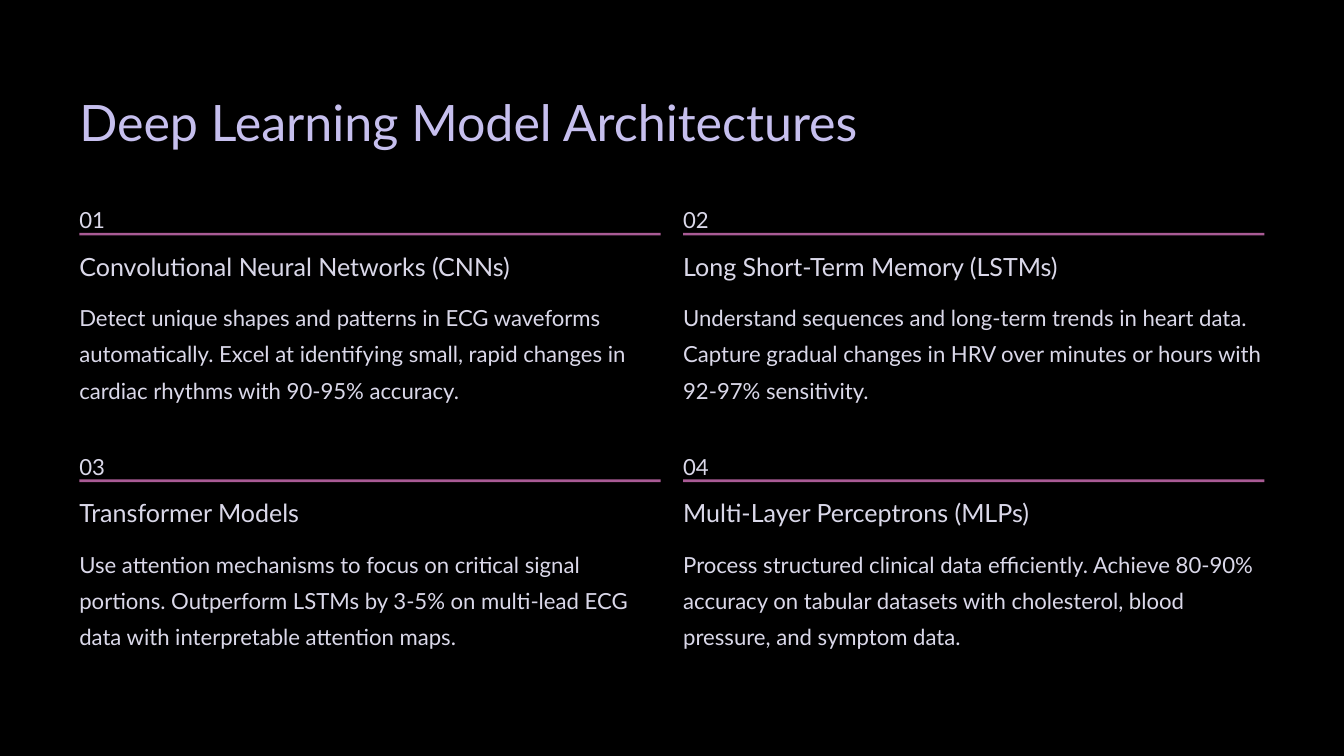
from dataclasses import dataclass

from pptx import Presentation
from pptx.dml.color import RGBColor
from pptx.enum.shapes import MSO_SHAPE
from pptx.enum.text import PP_ALIGN
from pptx.slide import Slide
from pptx.util import Pt


@dataclass(frozen=True)
class Theme:
    font: str = "Lato"
    background: str = "000000"
    title_color: str = "C6BFEE"
    text_color: str = "DAD8E9"
    rule_color: str = "A95B95"
    title_size: float = 43
    heading_size: float = 21.5
    body_size: float = 19


@dataclass(frozen=True)
class Architecture:
    name: str
    name_width: float
    description: str


THEME = Theme()
LEFT, TOP = 68, 168.8
COLUMN_STEP, ROW_STEP = 517.6, 211.4
COLUMN_WIDTH = 498.2
COLUMNS = 2

ARCHITECTURES = [
    Architecture(
        "Convolutional Neural Networks (CNNs)",
        401.8,
        "Detect unique shapes and patterns in ECG waveforms automatically. "
        "Excel at identifying small, rapid changes in cardiac rhythms with 90-95% accuracy.",
    ),
    Architecture(
        "Long Short-Term Memory (LSTMs)",
        355.7,
        "Understand sequences and long-term trends in heart data. "
        "Capture gradual changes in HRV over minutes or hours with 92-97% sensitivity.",
    ),
    Architecture(
        "Transformer Models",
        216,
        "Use attention mechanisms to focus on critical signal portions. "
        "Outperform LSTMs by 3-5% on multi-lead ECG data with interpretable attention maps.",
    ),
    Architecture(
        "Multi-Layer Perceptrons (MLPs)",
        326.9,
        "Process structured clinical data efficiently. "
        "Achieve 80-90% accuracy on tabular datasets with cholesterol, blood pressure, "
        "and symptom data.",
    ),
]


def add_text(
    slide: Slide,
    text: str,
    *,
    left: float,
    top: float,
    width: float,
    height: float,
    size: float = THEME.body_size,
    color: str = THEME.text_color,
    line_spacing: float = 31,
    wrap: bool = False,
) -> None:
    box = slide.shapes.add_textbox(Pt(left), Pt(top), Pt(width), Pt(height))
    frame = box.text_frame
    frame.word_wrap = wrap
    frame.margin_left = frame.margin_right = 0
    frame.margin_top = frame.margin_bottom = 0
    para = frame.paragraphs[0]
    para.alignment = PP_ALIGN.LEFT
    para.line_spacing = Pt(line_spacing)
    span = para.add_run()
    span.text = text
    span.font.name = THEME.font
    span.font.size = Pt(size)
    span.font.color.rgb = RGBColor.from_string(color)


def add_rule(slide: Slide, left: float, top: float) -> None:
    rule = slide.shapes.add_shape(
        MSO_SHAPE.RECTANGLE, Pt(left), Pt(top), Pt(COLUMN_WIDTH), Pt(2.3)
    )
    rule.shadow.inherit = False
    rule.fill.solid()
    rule.fill.fore_color.rgb = RGBColor.from_string(THEME.rule_color)
    rule.line.fill.background()


def add_architecture(slide: Slide, index: int, architecture: Architecture) -> None:
    row, column = divmod(index, COLUMNS)
    left = LEFT + column * COLUMN_STEP
    top = TOP + row * ROW_STEP
    add_text(slide, f"{index + 1:02}", left=left, top=top, width=24, height=24.5)
    add_rule(slide, left, top + 30.8)
    add_text(
        slide,
        architecture.name,
        left=left,
        top=top + 45.2,
        width=architecture.name_width,
        height=27.4,
        size=THEME.heading_size,
        line_spacing=27,
    )
    add_text(
        slide,
        architecture.description,
        left=left,
        top=top + 84,
        width=COLUMN_WIDTH,
        height=93.6,
        wrap=True,
    )


def main() -> None:
    deck = Presentation()
    deck.slide_width, deck.slide_height = Pt(1152), Pt(648)
    page = deck.slides.add_slide(deck.slide_layouts[6])
    page.background.fill.solid()
    page.background.fill.fore_color.rgb = RGBColor.from_string(THEME.background)
    add_text(
        page,
        "Deep Learning Model Architectures",
        left=LEFT,
        top=75.8,
        width=756,
        height=54,
        size=THEME.title_size,
        color=THEME.title_color,
        line_spacing=54,
    )
    for index, architecture in enumerate(ARCHITECTURES):
        add_architecture(page, index, architecture)
    deck.save("out.pptx")


if __name__ == "__main__":
    main()
